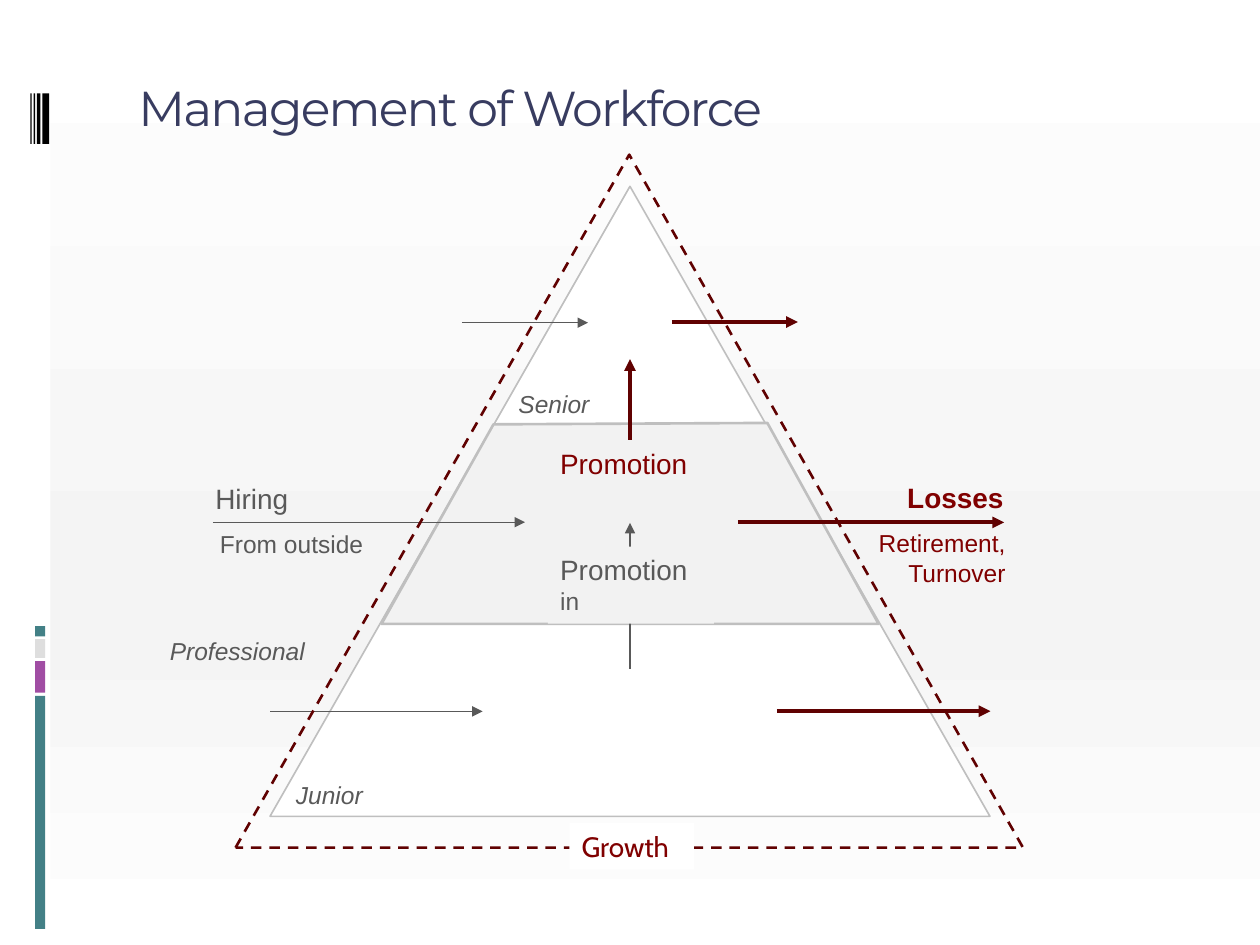
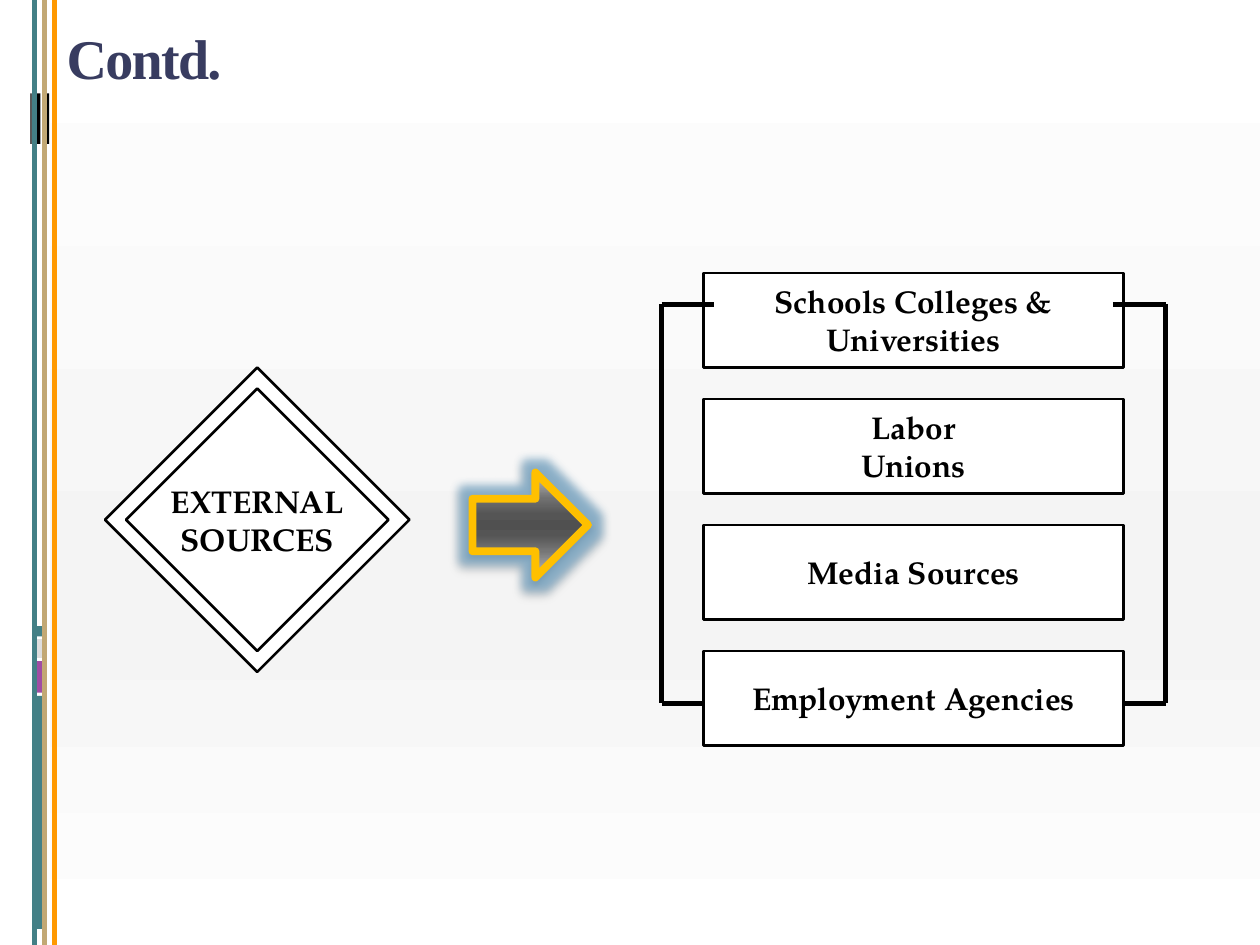
"""Builds two slides on managing a workforce and its external sources."""
from dataclasses import dataclass

import lxml.etree
import pptx
import pptx.dml.color
import pptx.enum.dml
import pptx.enum.shapes
import pptx.enum.text
import pptx.oxml
import pptx.oxml.ns
import pptx.util

Pt = pptx.util.Pt
SHAPE = pptx.enum.shapes.MSO_SHAPE
ALIGN = pptx.enum.text.PP_ALIGN
ANCHOR = pptx.enum.text.MSO_ANCHOR
qn = pptx.oxml.ns.qn


@dataclass(frozen=True)
class Theme:
    white: str = "FFFFFF"
    black: str = "000000"
    title: str = "383C60"
    teal: str = "438086"
    purple: str = "A04DA3"
    pale: str = "DEDEDE"
    orange: str = "FF9900"
    sand: str = "C2A874"
    gold: str = "FFC000"
    glow: str = "64A0C8"
    gray: str = "595959"
    edge: str = "BFBFBF"
    band: str = "F2F2F2"
    maroon: str = "800000"
    dark_red: str = "600101"
    page_stops: tuple = ((0, "FFFFFF"), (65, "F4F4F4"), (100, "FFFFFF"))
    steel_stops: tuple = ((0, "C0C0C0"), (25, "707070"), (40, "555555"), (50, "505050"),
                          (60, "555555"), (75, "767676"), (100, "C0C0C0"))
    label_font: str = "Arial"
    growth_font: str = "Cabin"
    box_font: str = "TeX Gyre Pagella"
    note_size: int = 14
    label_size: int = 16
    box_size: int = 18


def rgb(color):
    return pptx.dml.color.RGBColor.from_string(color)


class Painter:
    def __init__(self, theme):
        self.theme = theme
        self.deck = pptx.Presentation()
        self.deck.slide_width, self.deck.slide_height = Pt(720), Pt(540)
        self.page = None

    def new_page(self):
        theme = self.theme
        self.page = self.deck.slides.add_slide(self.deck.slide_layouts[6])
        self.gradient(self.page.background.fill, self.page.element, theme.page_stops)
        self.shape(SHAPE.RECTANGLE, 0, 0, 28.8, 540, theme.white)
        for top, height, color in ((397.6, 133.2, theme.teal), (377.8, 18, theme.purple),
                                   (365.2, 10.8, theme.pale), (357.8, 5.8, theme.teal)):
            self.shape(SHAPE.RECTANGLE, 20, top, 5.8, height, color)
        for left, width in ((24.3, 3.8), (21.1, 2), (19.2, 0.9), (17.4, 0.7)):
            self.shape(SHAPE.RECTANGLE, left, 53.4, width, 28.8, theme.black)

    def gradient(self, fill, element, stops):
        fill.gradient()
        stop_list = next(element.iter(qn("a:gsLst")))
        for stop in list(stop_list):
            stop_list.remove(stop)
        for position, color in stops:
            stop = lxml.etree.SubElement(stop_list, qn("a:gs"), pos=str(position * 1000))
            lxml.etree.SubElement(stop, qn("a:srgbClr"), val=color)
        next(element.iter(qn("a:lin"))).set("ang", "5400000")

    def paint(self, shape, fill=None, line=None, weight=1.5):
        shape.shadow.inherit = False
        if fill:
            shape.fill.solid()
            shape.fill.fore_color.rgb = rgb(fill)
        else:
            shape.fill.background()
        if line:
            shape.line.color.rgb = rgb(line)
            shape.line.width = Pt(weight)
        else:
            shape.line.fill.background()
        return shape

    def shape(self, kind, left, top, width, height, fill=None, line=None, weight=1.5):
        shape = self.page.shapes.add_shape(kind, Pt(left), Pt(top), Pt(width), Pt(height))
        return self.paint(shape, fill, line, weight)

    def outline(self, points, fill, line):
        first, *rest = [(Pt(x), Pt(y)) for x, y in points]
        builder = self.page.shapes.build_freeform(*first)
        builder.add_line_segments(rest, close=True)
        return self.paint(builder.convert_to_shape(), fill, line)

    def line(self, x1, y1, x2, y2, color, weight, arrow=False):
        connector = self.page.shapes.add_connector(
            pptx.enum.shapes.MSO_CONNECTOR.STRAIGHT, Pt(x1), Pt(y1), Pt(x2), Pt(y2))
        connector.line.color.rgb = rgb(color)
        connector.line.width = Pt(weight)
        properties = connector.element.spPr
        if arrow:
            lxml.etree.SubElement(properties.find(qn("a:ln")), qn("a:tailEnd"), type="triangle")
        lxml.etree.SubElement(properties, qn("a:effectLst"))

    def style(self, frame, font, size, color, bold=False, italic=False, align=ALIGN.LEFT):
        for para in frame.paragraphs:
            para.alignment = align
            for span in para.runs:
                span.font.name, span.font.size = font, Pt(size)
                span.font.color.rgb = rgb(color)
                span.font.bold, span.font.italic = bold, italic

    def title(self, text, left, top, width, height, font, size, bold=False):
        box = self.page.shapes.add_textbox(Pt(left), Pt(top), Pt(width), Pt(height))
        box.text_frame.word_wrap = True
        box.text_frame.text = text
        self.style(box.text_frame, font, size, self.theme.title, bold)
        for span in box.text_frame.paragraphs[0].runs:
            span.font._element.set("spc", "-100")

    def label(self, text, left, top, width, height, size, color, fill=None, font=None, **looks):
        box = self.page.shapes.add_textbox(Pt(left), Pt(top), Pt(width), Pt(height))
        frame = box.text_frame
        frame.word_wrap = False
        frame.auto_size = pptx.enum.text.MSO_AUTO_SIZE.SHAPE_TO_FIT_TEXT
        frame.text = text
        self.style(frame, font or self.theme.label_font, size, color, **looks)
        if fill:
            box.fill.solid()
            box.fill.fore_color.rgb = rgb(fill)
        return box

    def captioned(self, kind, text, left, top, width, height, inset=None):
        theme = self.theme
        shape = self.shape(kind, left, top, width, height, theme.white, theme.black)
        frame = shape.text_frame
        frame.text = text
        frame.vertical_anchor = ANCHOR.MIDDLE
        if inset is not None:
            frame.word_wrap = False
            frame.margin_left = frame.margin_right = Pt(inset)
            frame.margin_top = frame.margin_bottom = Pt(inset)
        self.style(frame, theme.box_font, theme.box_size, theme.black, True, align=ALIGN.CENTER)

    def glowing_arrow(self, left, top, width, height):
        theme = self.theme
        arrow = self.shape(SHAPE.RIGHT_ARROW, left, top, width, height, theme.white, theme.gold, 4.5)
        self.gradient(arrow.fill, arrow.element, theme.steel_stops)
        effects = arrow.element.spPr.find(qn("a:effectLst"))
        glow = lxml.etree.SubElement(effects, qn("a:glow"), rad=str(Pt(11)))
        shadow = lxml.etree.SubElement(effects, qn("a:outerShdw"), blurRad=str(Pt(3.1)),
                                       dist=str(Pt(1.8)), dir="5400000", rotWithShape="0")
        for effect, color, opacity in ((glow, theme.glow, 60), (shadow, theme.black, 35)):
            tint = lxml.etree.SubElement(effect, qn("a:srgbClr"), val=color)
            lxml.etree.SubElement(tint, qn("a:alpha"), val=str(opacity * 1000))


def workforce_page(painter):
    theme = painter.theme
    painter.new_page()
    painter.shape(SHAPE.ISOSCELES_TRIANGLE, 154.3, 106.5, 411.4, 360, theme.white, theme.edge, 0.94)
    painter.outline(((282, 242.5), (218, 356.5), (502, 356.5), (438.5, 241.7)),
                    theme.band, theme.edge)
    painter.title("Management of Workforce", 72, 40.5, 612, 72, "Montserrat", 28)

    for x1, x2, y in ((154.3, 275.8, 406.5), (121.7, 300, 298.4), (264, 336, 184.4)):
        painter.line(x1, y, x2, y, theme.gray, 0.75, True)
    for x1, x2, y in ((421.7, 573.8, 298.5), (444, 566, 406.4), (384, 456, 184)):
        painter.line(x1, y, x2, y, theme.dark_red, 2.25, True)
    painter.line(360, 286.5, 360, 205.2, theme.dark_red, 2.25, True)
    painter.line(360, 382.3, 360, 298.8, theme.gray, 1.5, True)

    big, small = theme.label_size, theme.note_size
    painter.label("Hiring", 116, 271.7, 61, 26.6, big, theme.gray)
    painter.label("Losses", 510, 271, 70.5, 26.6, big, theme.maroon, bold=True, align=ALIGN.RIGHT)
    painter.label("Promotion\v", 313, 251.5, 88, 44, big, theme.maroon, theme.band)
    inner = painter.label("Promotion\vin", 313, 312.4, 95, 44, big, theme.gray, theme.band)
    inner.text_frame.paragraphs[0].runs[1].font.size = Pt(small)
    for level, left, top, width in (("Senior", 289.2, 219, 59), ("Professional", 90, 360, 95.8),
                                    ("Junior", 162, 442.3, 56.2)):
        painter.label(level, left, top, width, 24.5, small, theme.gray, italic=True)
    painter.label("From outside", 118.6, 299, 97.2, 24.5, small, theme.gray)
    painter.label("Retirement,\vTurnover", 494, 298.3, 87.8, 41, small, theme.maroon,
                  align=ALIGN.RIGHT)

    growth = painter.shape(SHAPE.ISOSCELES_TRIANGLE, 134.6, 88.4, 450, 396, None, theme.dark_red)
    growth.line.dash_style = pptx.enum.dml.MSO_LINE.DASH
    painter.label("Growth", 325.3, 470.3, 71.3, 26.6, big, theme.maroon, theme.white,
                  theme.growth_font)


def sources_page(painter):
    theme = painter.theme
    left, right, top, bottom = 378, 666, 174, 402
    box_left, box_width, box_height, box_pitch = 402, 240, 54, 72
    tick = 30
    ticks = ((left, left + tick), (right - tick, right))
    painter.new_page()
    for x1, x2 in ticks:
        painter.line(x1, bottom, x2, bottom, theme.black, 3)
    for x, color in ((19.7, theme.teal), (31, theme.orange), (25.4, theme.sand)):
        painter.line(x, 0, x, 540, color, 3)

    painter.shape(SHAPE.DIAMOND, 60, 210, 174, 174, theme.white, theme.black)
    sources = ("Schools Colleges &\nUniversities", "Labor\nUnions", "Media Sources",
               "Employment Agencies")
    for row, source in enumerate(sources):
        painter.captioned(SHAPE.RECTANGLE, source, box_left, 156 + row * box_pitch,
                          box_width, box_height)
    painter.glowing_arrow(270, 270, 66, 60)
    painter.captioned(SHAPE.DIAMOND, "EXTERNAL\nSOURCES", 72, 222, 150, 150, inset=0)

    for x1, x2 in ticks:
        painter.line(x1, top, x2, top, theme.black, 3)
    for x in (left, right):
        painter.line(x, top, x, bottom, theme.black, 3)
    painter.title("Contd.", 31, 10, 674.6, 67, "Times New Roman", 32, True)


def main():
    painter = Painter(Theme())
    workforce_page(painter)
    sources_page(painter)
    painter.deck.save("out.pptx")


if __name__ == "__main__":
    main()
